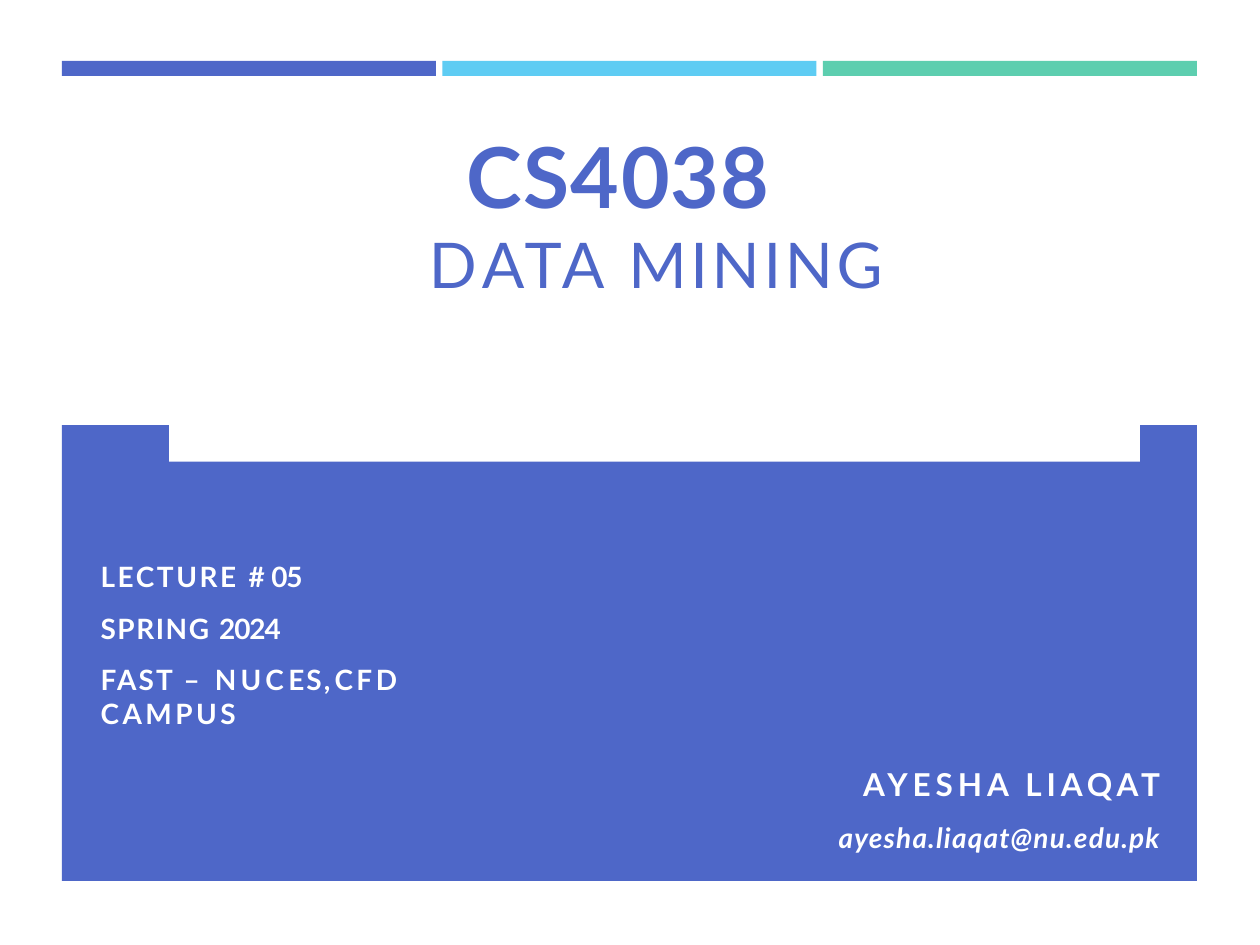
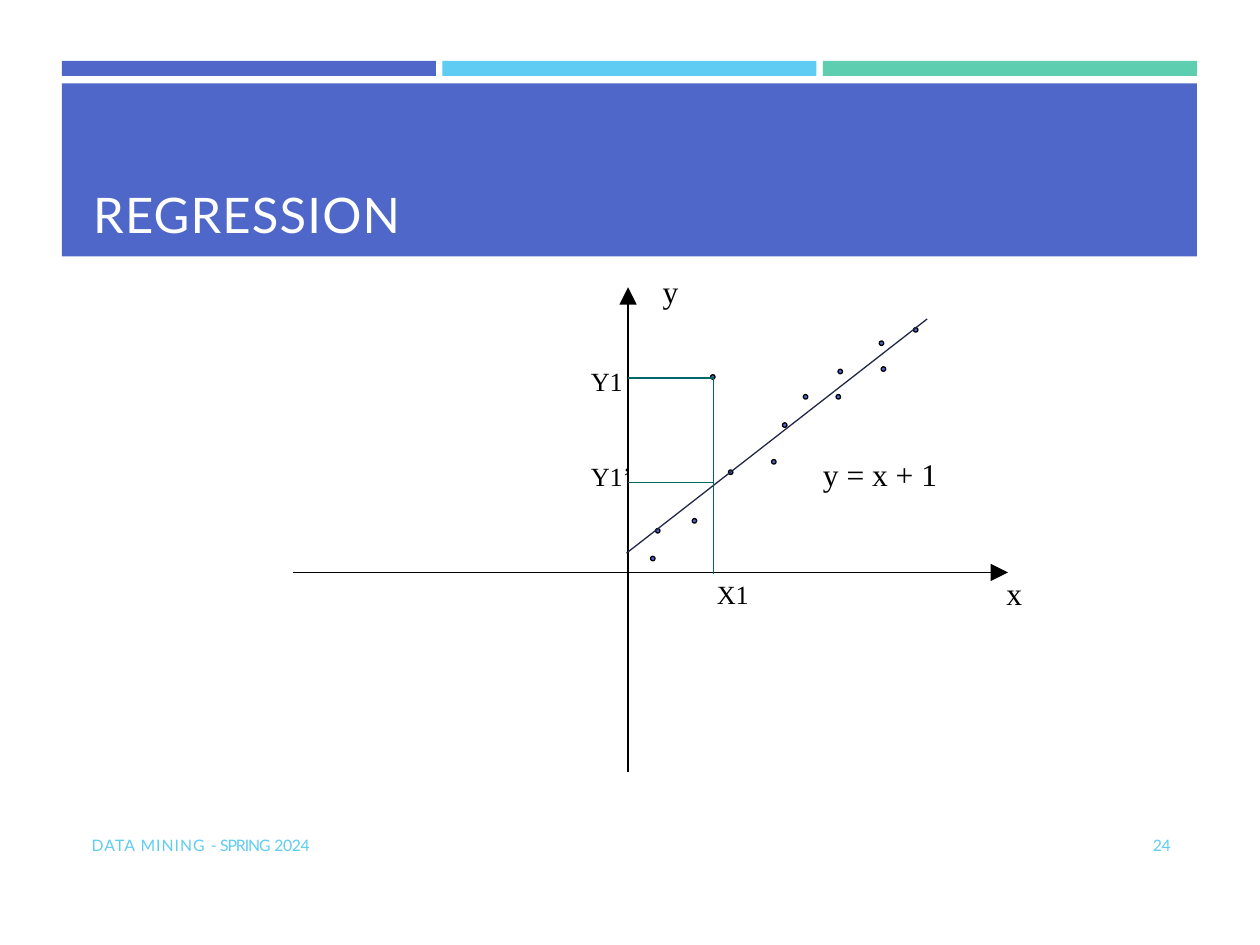
import pptx
import pptx.dml.color
import pptx.enum.shapes
import pptx.enum.text
import pptx.util
from lxml import etree
from pptx.oxml.ns import qn
from pptx.util import Cm, Pt

SHAPE = pptx.enum.shapes.MSO_SHAPE
ALIGN = pptx.enum.text.PP_ALIGN

COLORS = {
    "indigo": "4E67C8",
    "sky": "5ECCF3",
    "mint": "5DCEAF",
    "white": "FFFFFF",
    "black": "000000",
    "navy": "212745",
    "teal": "006666",
}
SANS, SERIF = "Lato", "Times New Roman"
LEFT, WIDTH = 1.25, 22.88  # content frame shared by both slides, in cm


def color(name):
    return pptx.dml.color.RGBColor.from_string(COLORS[name])


def add_block(page, kind, left, top, width, height, fill, outline=None):
    """Preset shape with a plain fill and an optional thin outline."""
    block = page.shapes.add_shape(kind, Cm(left), Cm(top), Cm(width), Cm(height))
    block.shadow.inherit = False
    block.fill.solid()
    block.fill.fore_color.rgb = color(fill)
    if outline:
        block.line.color.rgb = color(outline)
        block.line.width = Pt(0.75)
    else:
        block.line.fill.background()
    return block


def set_frame(frame, top=0.0):
    """Wrapped, top-anchored text with only a top margin."""
    frame.word_wrap = True
    frame.vertical_anchor = pptx.enum.text.MSO_ANCHOR.TOP
    frame.margin_left = frame.margin_right = frame.margin_bottom = 0
    frame.margin_top = Cm(top)


def write(para, spans, size, fill, font=SANS, bold=False, italic=False,
          align=ALIGN.LEFT, before=0):
    """Fill a paragraph with (text, letter spacing in points) spans."""
    para.alignment = align
    para.space_before = Pt(before)
    for text, spacing in spans:
        span = para.add_run()
        span.text = text
        span.font.size = Pt(size)
        span.font.name = font
        span.font.bold = bold
        span.font.italic = italic
        span.font.color.rgb = color(fill)
        if spacing:
            span._r.get_or_add_rPr().set("spc", str(round(spacing * 100)))


def add_text_box(page, left, top, width, height):
    box = page.shapes.add_textbox(Cm(left), Cm(top), Cm(width), Cm(height))
    set_frame(box.text_frame)
    return box.text_frame


def add_line(page, start, end, stroke, width=0.75, arrow=False):
    """Straight line between two points in cm."""
    line = page.shapes.add_connector(
        pptx.enum.shapes.MSO_CONNECTOR.STRAIGHT,
        *(Cm(value) for value in (*start, *end)))
    line.line.color.rgb = color(stroke)
    line.line.width = Pt(width)
    properties = line._element.spPr
    if arrow:
        etree.SubElement(properties.find(qn("a:ln")), qn("a:tailEnd"),
                         type="triangle", w="lg", len="lg")
    etree.SubElement(properties, qn("a:effectLst"))


def add_page(deck):
    """Blank page with the three-colour strip on top."""
    page = deck.slides.add_slide(deck.slide_layouts[6])
    gap = 0.13
    bar_width = (WIDTH - 2 * gap) / 3
    for index, fill in enumerate(("indigo", "sky", "mint")):
        add_block(page, SHAPE.RECTANGLE, LEFT + index * (bar_width + gap), 1.23,
                  bar_width, 0.3, fill)
    return page


def add_footer(page, number):
    spans = [("DATA MINING ", 0.6), ("- ", -0.4), ("SPRING", -0.6), (" 2024", -0.2)]
    write(add_text_box(page, 1.85, 16.84, 6, 0.45).paragraphs[0], spans, 9, "sky")
    write(add_text_box(page, 23.24, 16.84, 0.8, 0.45).paragraphs[0],
          [(number, -0.2)], 9, "sky")


def build_cover(deck):
    page = add_page(deck)

    # Lower panel with a notch cut by a white block
    add_block(page, SHAPE.RECTANGLE, LEFT, 8.57, WIDTH, 9.19, "indigo")
    add_block(page, SHAPE.RECTANGLE, 3.41, 4.5, 19.57, 4.81, "white")

    # Course code and name
    code = add_text_box(page, 9.41, 2.52, 7, 2.1)
    write(code.paragraphs[0], [("CS4038", 0.8)], 48, "indigo", bold=True)
    name = add_text_box(page, 3.74, 4.55, 18.97, 1.47)
    write(name.paragraphs[0],
          [("D", 2.9), ("A", -0.9), ("T", -2.8), ("A ", 2.8), ("MINING", 2.15)],
          36, "indigo", align=ALIGN.CENTER)

    # Lecture details
    details = add_text_box(page, 2.03, 11.28, 8.43, 2.8)
    lines = [
        ([("LECTURE ", 1.5), ("# ", -0.1), ("05", -0.6)], 0),
        ([("SPRING ", 0.9), ("2024", -0.6)], 10.8),
        ([("FAST ", 1.3), ("– NUC", 2.4), ("ES", 1.2), (", ", -1.6),
          ("CFD CAMPUS", 2)], 9.8),
    ]
    for index, (spans, before) in enumerate(lines):
        para = details.add_paragraph() if index else details.paragraphs[0]
        write(para, spans, 16, "white", bold=True, before=before)

    # Lecturer
    lecturer = add_text_box(page, 15.01, 15.42, 8.38, 1.8)
    write(lecturer.paragraphs[0], [("AYESHA LIAQAT", 2.8)], 18, "white",
          bold=True, align=ALIGN.RIGHT)
    write(lecturer.add_paragraph(), [("ayesha.liaqat@nu.edu.pk", 0.7)], 16, "white",
          bold=True, italic=True, align=ALIGN.RIGHT, before=10.4)


def build_regression(deck):
    page = add_page(deck)

    # Title band
    band = add_block(page, SHAPE.RECTANGLE, LEFT, 1.68, WIDTH, 3.49, "indigo")
    set_frame(band.text_frame, top=2.03)
    band.text_frame.margin_left = Cm(0.63)
    write(band.text_frame.paragraphs[0], [("REGRESSION", 0.7)], 28, "white")

    # Axes
    axis_x, axis_y = 12.66, 11.54
    add_line(page, (5.9, axis_y), (20.32, axis_y), "black", 1, arrow=True)
    add_line(page, (axis_x, 15.57), (axis_x, 5.79), "black", 1, arrow=True)

    # Observations, by centre
    observations = [
        (13.16, 11.26), (13.26, 10.7), (14, 10.5), (14.37, 7.6), (14.73, 9.52),
        (15.6, 9.31), (15.82, 8.57), (16.24, 8), (16.9, 8), (16.94, 7.49),
        (17.77, 6.92), (17.81, 7.44), (18.46, 6.65),
    ]
    dot = 0.09
    for x, y in observations:
        add_block(page, SHAPE.OVAL, x - dot / 2, y - dot / 2, dot, dot,
                  "indigo", outline="black")

    # Fitted line and the guides of the marked observation
    add_line(page, (12.63, 11.15), (18.69, 6.43), "navy")
    guide_x = 14.38
    add_line(page, (guide_x, 7.59), (guide_x, 11.57), "teal")
    for guide_y in (7.62, 9.72):
        add_line(page, (guide_x, guide_y), (axis_x, guide_y), "teal")

    # Labels
    labels = [
        ("y", 13.36, 5.49, 18), ("x", 20.29, 11.58, 18),
        ("y = x + 1", 16.59, 9.17, 18), ("X1", 14.45, 11.66, 15),
        ("Y1", 11.91, 7.36, 15), ("Y1’", 11.91, 9.27, 15),
    ]
    for text, left, top, size in labels:
        label = add_text_box(page, left, top, 0.5 + 0.3 * len(text), 0.75)
        write(label.paragraphs[0], [(text, 0)], size, "black", font=SERIF)

    add_footer(page, "24")


def main():
    deck = pptx.Presentation()
    deck.slide_width, deck.slide_height = Cm(25.4), Cm(19.05)
    build_cover(deck)
    build_regression(deck)
    deck.save("out.pptx")


if __name__ == "__main__":
    main()
